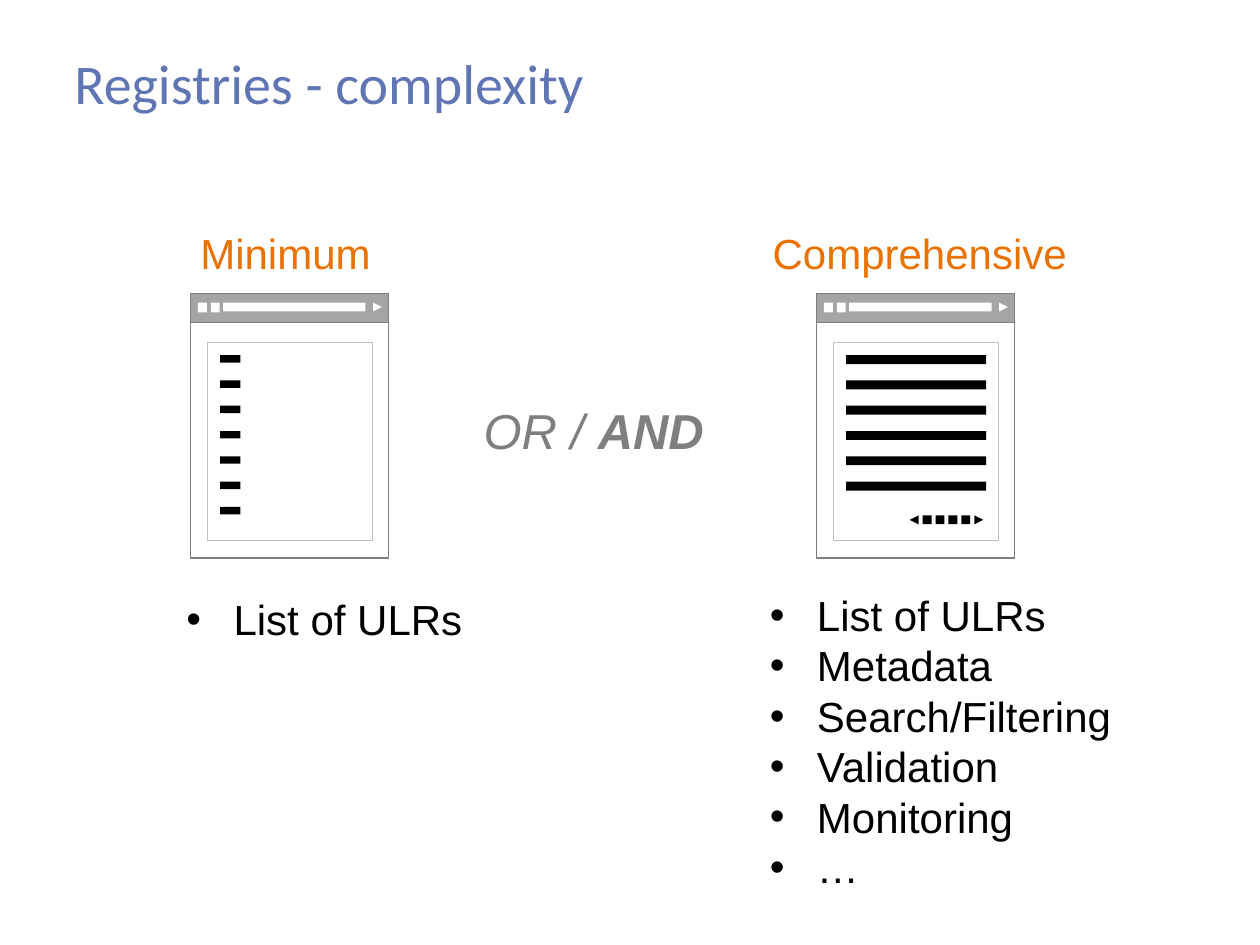
from pptx import Presentation, util as u
from pptx.dml.color import RGBColor
from pptx.enum import shapes, text
from pptx.oxml.ns import qn
from lxml import etree

HUES = {
    "title": "6076B4", "label": "E97200", "ink": "000000", "paper": "FFFFFF",
    "bar": "A5A5A5", "frame": "7F7F7F", "edge": "BFBFBF",
}
RECT = shapes.MSO_SHAPE.RECTANGLE
ARROW = shapes.MSO_SHAPE.ISOSCELES_TRIANGLE


class Sketch:
    """Style and current slide, with one method per kind of element."""

    face = "Arial"

    def __init__(self, slide):
        self.slide = slide

    def block(self, group, x, y, w, h, fill, line=None, kind=RECT, turn=0):
        shape = group.shapes.add_shape(kind, u.Cm(x), u.Cm(y), u.Cm(w), u.Cm(h))
        shape.shadow.inherit = False
        shape.rotation = turn
        shape.fill.solid()
        shape.fill.fore_color.rgb = RGBColor.from_string(HUES[fill])
        if line:
            shape.line.color.rgb = RGBColor.from_string(HUES[line])
            shape.line.width = u.Pt(0.75)
        else:
            shape.line.fill.background()

    def style(self, run, size, hue, face=None):
        run.font.size = u.Pt(size)
        run.font.name = face or self.face
        run.font.color.rgb = RGBColor.from_string(HUES[hue])

    def words(self, home, x, y, w, h, lines, size, hue, face=None,
              align=text.PP_ALIGN.LEFT, bullet=False):
        frame = home.shapes.add_textbox(
            u.Cm(x), u.Cm(y), u.Cm(w), u.Cm(h)).text_frame
        frame.word_wrap = False
        frame.text = "\n".join(lines)
        for para in frame.paragraphs:
            para.alignment = align
            if bullet:
                self.bullet(para)
            for run in para.runs:
                self.style(run, size, hue, face)
        return frame

    def bullet(self, para):
        props = para._p.get_or_add_pPr()
        props.set("marL", str(u.Cm(0.95)))
        props.set("indent", str(-u.Cm(0.95)))
        tint = etree.SubElement(props, qn("a:buClr"))
        etree.SubElement(tint, qn("a:srgbClr"), val=HUES["ink"])
        etree.SubElement(props, qn("a:buFont"), typeface=self.face)
        etree.SubElement(props, qn("a:buChar"), char="•")

    def window(self, x, y, rows, width, height):
        """Browser window with a page of text rows."""
        group = self.slide.shapes.add_group_shape()
        self.block(group, x, y, 3.99, 5.33, "paper", "frame")
        # Address bar
        self.block(group, x, y, 3.99, 0.58, "bar", "frame")
        self.block(group, x + 0.66, y + 0.18, 2.87, 0.18, "paper")
        self.block(group, x + 3.68, y + 0.18, 0.18, 0.18, "paper",
                   kind=ARROW, turn=90)
        for left in (0.15, 0.41):
            self.block(group, x + left, y + 0.18, 0.18, 0.2, "paper")
        # Page
        self.block(group, x + 0.34, y + 0.99, 3.33, 3.99, "paper", "edge")
        for row in range(rows):
            self.block(group, x + 0.6, y + 1.24 + 0.51 * row,
                       width, height, "ink")
        return group

    def pager(self, group, x, y):
        """Page buttons between a back and a forward arrow."""
        turns = [270, 0, 0, 0, 0, 90]
        for i, turn in enumerate(turns):
            self.block(group, x + 0.26 * i, y, 0.18, 0.18, "ink",
                       kind=ARROW if turn else RECT, turn=turn)


def main():
    deck = Presentation()
    deck.slide_width, deck.slide_height = u.Cm(25.4), u.Cm(19.05)
    art = Sketch(deck.slides.add_slide(deck.slide_layouts[6]))
    page = art.slide
    mid = text.PP_ALIGN.CENTER

    # Title
    title = art.words(page, 1.5, 0.97, 22.66, 1.8,
                      ["Registries - complexity"], 32, "title", "Calibri")
    title.margin_left = title.margin_right = 0
    title.margin_top = title.margin_bottom = 0

    # Minimum registry
    small = art.window(3.84, 5.92, 7, 0.41, 0.15)
    art.words(small, 3.76, 4.47, 3.99, 1.27, ["Minimum"], 24, "label",
              align=mid)
    art.words(page, 3.51, 11.84, 6.12, 1.27, ["List of ULRs"], 24, "ink",
              bullet=True)

    # Comprehensive registry
    full = art.window(16.46, 5.92, 6, 2.82, 0.18)
    art.pager(full, 18.34, 10.39)
    art.words(full, 15.29, 4.47, 6.5, 1.27, ["Comprehensive"], 24, "label",
              align=mid)
    art.words(page, 15.27, 11.76, 7.47, 7.44,
              ["List of ULRs", "Metadata", "Search/Filtering", "Validation",
               "Monitoring", "…"], 24, "ink", bullet=True)

    # Choice between the two
    choice = art.words(page, 9.5, 7.95, 5, 1.45, ["OR / "], 28, "frame")
    strong = choice.paragraphs[0].add_run()
    strong.text = "AND"
    art.style(strong, 28, "frame")
    strong.font.bold = True
    for run in choice.paragraphs[0].runs:
        run.font.italic = True

    deck.save("out.pptx")


if __name__ == "__main__":
    main()
